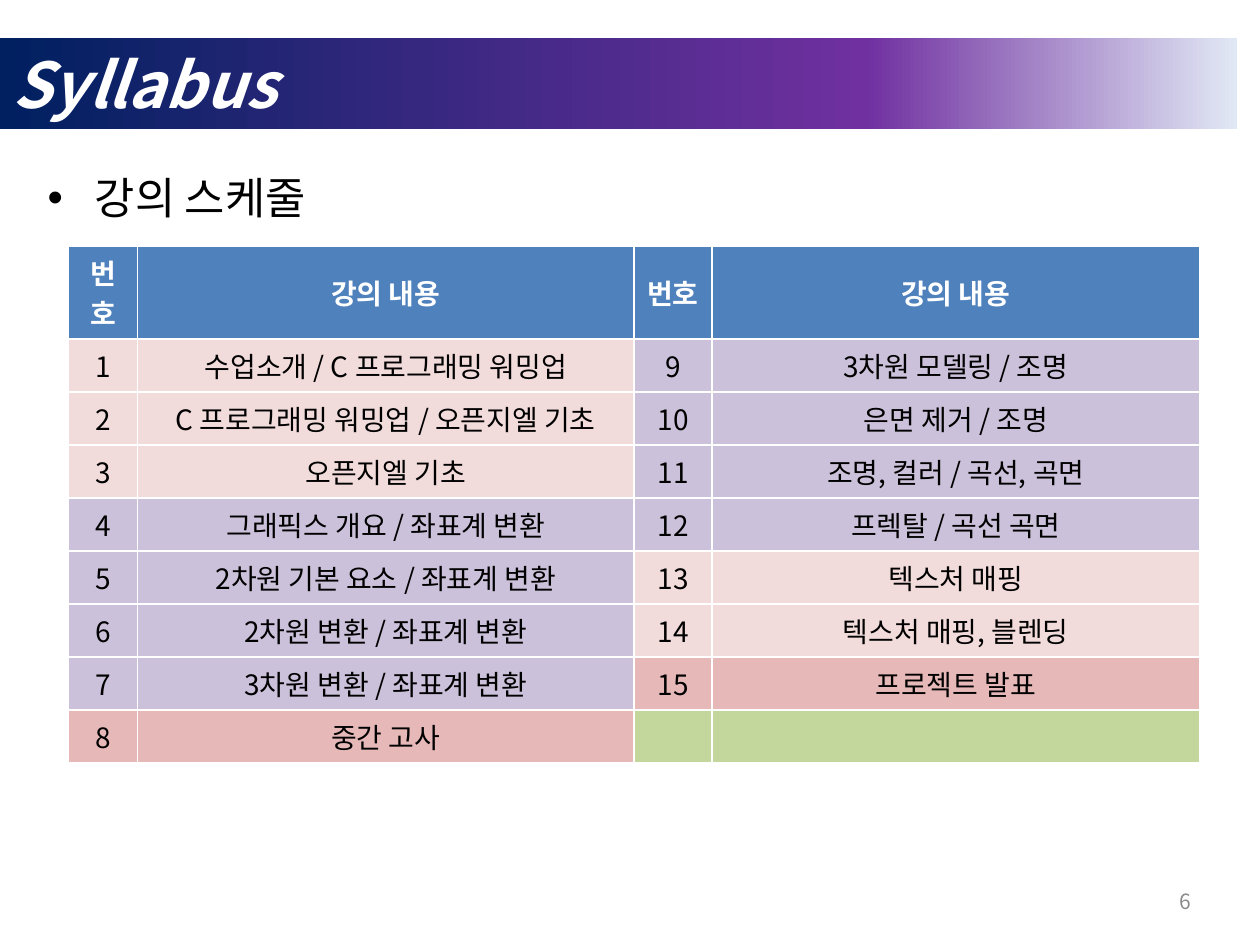
from copy import deepcopy
from pptx import Presentation
from pptx.dml.color import RGBColor
from pptx.enum.text import MSO_ANCHOR as Anchor, MSO_AUTO_SIZE as AutoSize, PP_ALIGN as Align
from pptx.oxml.ns import qn
from pptx.util import Pt

FONT = "Noto Sans CJK KR"
WHITE, BLACK, GREY, BLUE = "FFFFFF", "000000", "8C8C8C", "4F81BD"
PINK, PURPLE, ROSE, GREEN = "F2DCDB", "CCC1DA", "E6B9B8", "C3D69B"
BAND_STOPS = [(0, "002060"), (0.7, "7030A0"), (1, "E1E8F5")]
COLUMN_WIDTHS = [39.6, 283.7, 44.6, 278.6]
HEADER_HEIGHT, ROW_HEIGHT = 52.6, 30.3
HEADINGS = ["번호", "강의 내용"] * 2
FIRST_HALF = [
    ("1", "수업소개 / C 프로그래밍 워밍업", PINK),
    ("2", "C 프로그래밍 워밍업 / 오픈지엘 기초", PINK),
    ("3", "오픈지엘 기초", PINK),
    ("4", "그래픽스 개요 / 좌표계 변환", PURPLE),
    ("5", "2차원 기본 요소 / 좌표계 변환", PURPLE),
    ("6", "2차원 변환 / 좌표계 변환", PURPLE),
    ("7", "3차원 변환 / 좌표계 변환", PURPLE),
    ("8", "중간 고사", ROSE),
]
SECOND_HALF = [
    ("9", "3차원 모델링 / 조명", PURPLE),
    ("10", "은면 제거 / 조명", PURPLE),
    ("11", "조명, 컬러 / 곡선, 곡면", PURPLE),
    ("12", "프렉탈 / 곡선 곡면", PURPLE),
    ("13", "텍스처 매핑", PINK),
    ("14", "텍스처 매핑, 블렌딩", PINK),
    ("15", "프로젝트 발표", ROSE),
    ("", "", GREEN),
]


def color(value):
    return RGBColor.from_string(value)


def write(frame, text, size, fill=BLACK, align=Align.LEFT, bold=False, italic=False):
    para = frame.paragraphs[0]
    para.alignment = align
    span = para.add_run()
    span.text = text
    font = span.font
    font.name, font.size, font.bold, font.italic = FONT, Pt(size), bold, italic
    font.color.rgb = color(fill)
    east_asian = span._r.get_or_add_rPr().makeelement(qn("a:ea"), {"typeface": FONT})
    font._element.find(qn("a:latin")).addnext(east_asian)
    return para


def place(shape, box):
    shape.left, shape.top, shape.width, shape.height = (Pt(length) for length in box)


def add_title(page, box):
    title = page.shapes.title
    place(title, box)
    title.fill.gradient()
    title.fill.gradient_angle = 0
    stop_list = title._element.spPr.find(".//" + qn("a:gsLst"))
    stop_list.append(deepcopy(stop_list[0]))
    for stop, (position, value) in zip(title.fill.gradient_stops, BAND_STOPS):
        stop.position = position
        stop.color.rgb = color(value)
    frame = title.text_frame
    frame.auto_size = AutoSize.NONE
    frame.vertical_anchor = Anchor.MIDDLE
    write(frame, "Syllabus", 36, fill=WHITE, bold=True, italic=True)


def add_body(page, box):
    body = page.placeholders[1]
    place(body, box)
    body.text_frame.auto_size = AutoSize.NONE
    para = write(body.text_frame, "강의 스케줄", 25)
    para.line_spacing = 0.8
    para.space_before = Pt(5)


def fill_cell(cell, text, background, **text_format):
    cell.fill.solid()
    cell.fill.fore_color.rgb = color(background)
    cell.vertical_anchor = Anchor.MIDDLE
    if text:
        write(cell.text_frame, text, 16, align=Align.CENTER, **text_format)


def add_schedule(page, left, top):
    height = HEADER_HEIGHT + ROW_HEIGHT * len(FIRST_HALF)
    size = [Pt(length) for length in (left, top, sum(COLUMN_WIDTHS), height)]
    table = page.shapes.add_table(len(FIRST_HALF) + 1, len(COLUMN_WIDTHS), *size).table
    table.horz_banding = False
    for column, width in zip(table.columns, COLUMN_WIDTHS):
        column.width = Pt(width)
    for index, row in enumerate(table.rows):
        row.height = Pt(ROW_HEIGHT if index else HEADER_HEIGHT)
    for index, heading in enumerate(HEADINGS):
        fill_cell(table.cell(0, index), heading, BLUE, fill=WHITE, bold=True)
    for first_column, half in ((0, FIRST_HALF), (2, SECOND_HALF)):
        for row, (number, topic, background) in enumerate(half, start=1):
            fill_cell(table.cell(row, first_column), number, background)
            fill_cell(table.cell(row, first_column + 1), topic, background)


def add_page_number(page, box):
    frame = page.shapes.add_textbox(*(Pt(length) for length in box)).text_frame
    frame.word_wrap = True
    frame.vertical_anchor = Anchor.MIDDLE
    write(frame, "6", 12, fill=GREY, align=Align.RIGHT)


def main():
    deck = Presentation()
    deck.slide_width, deck.slide_height = Pt(720), Pt(540)
    page = deck.slides.add_slide(deck.slide_layouts[1])
    add_title(page, (0, 21.6, 707, 52))
    add_body(page, (20, 100, 648, 412.5))
    add_schedule(page, 39, 140.5)
    add_page_number(page, (520, 500.5, 167.6, 28.8))
    deck.save("out.pptx")


if __name__ == "__main__":
    main()
